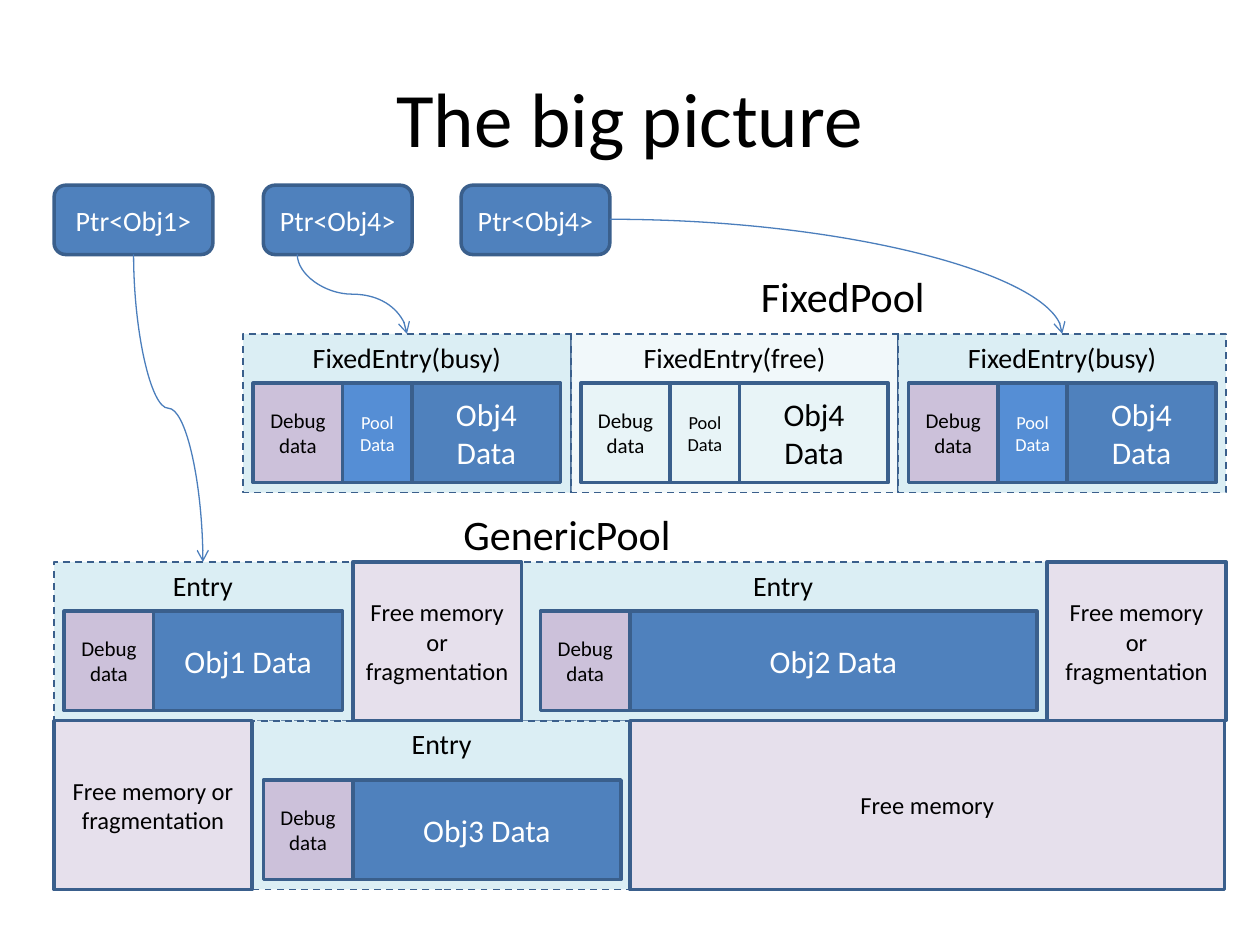
from lxml import etree
from pptx import Presentation
from pptx.dml.color import RGBColor
from pptx.enum import dml, shapes, text
from pptx.oxml.ns import qn
from pptx.util import Inches, Pt

THEME = {
    "font": "Calibri", "black": "000000", "white": "FFFFFF",
    "object": "4F81BD", "pool": "558ED5", "debug": "CCC1DA",
    "entry": "DBEEF4", "free": "E6E0EC", "outline": "3A5F8C", "arrow": "4B7EBC",
    "title_size": 44, "heading_size": 24, "data_size": 18, "label_size": 16,
    "free_size": 14, "debug_size": 12, "pool_size": 10.5,
}
TOP, MIDDLE = text.MSO_ANCHOR.TOP, text.MSO_ANCHOR.MIDDLE
RECT, ROUND = shapes.MSO_SHAPE.RECTANGLE, shapes.MSO_SHAPE.ROUNDED_RECTANGLE
DATA_HEIGHT, DEBUG_WIDTH, POOL_WIDTH = 0.79, 0.71, 0.55


def write(shape, words, size, color="black", anchor=MIDDLE, wrap=True,
          align=text.PP_ALIGN.CENTER):
    """Put one styled paragraph into a shape."""
    frame = shape.text_frame
    for name, value in {"word_wrap": wrap, "vertical_anchor": anchor}.items():
        setattr(frame, name, value)
    paragraph = frame.paragraphs[0]
    paragraph.alignment = align
    run = paragraph.add_run()
    run.text = words
    for name, value in {"name": THEME["font"], "size": Pt(THEME[size])}.items():
        setattr(run.font, name, value)
    run.font.color.rgb = RGBColor.from_string(THEME[color])


def block(parent, box, words, fill, size, color="black", kind=RECT,
          dashed=False, alpha=None):
    """Draw a labelled memory block; dashed blocks carry their label on top."""
    shape = parent.add_shape(kind, *map(Inches, box))
    shape.shadow.inherit = False
    shape.fill.solid()
    shape.fill.fore_color.rgb = RGBColor.from_string(THEME[fill])
    if alpha:
        tint = shape._element.spPr.find(qn("a:solidFill"))[0]
        etree.SubElement(tint, qn("a:alpha")).set("val", str(alpha * 1000))
    shape.line.color.rgb = RGBColor.from_string(THEME["outline"])
    shape.line.width = Pt(1 if dashed else 2)
    if dashed:
        shape.line.dash_style = dml.MSO_LINE.DASH
    write(shape, words, size, color, TOP if dashed else MIDDLE)


deck = Presentation()
deck.slide_width, deck.slide_height = Inches(10), Inches(7.5)
slide = deck.slides.add_slide(deck.slide_layouts[6])
canvas = slide.shapes

title = canvas.add_textbox(*map(Inches, (0.5, 0.3, 9, 1.25)))
write(title, "The big picture", "title_size")

for left, top, width, name in [(5.94, 2.1, 1.51, "FixedPool"),
                               (3.58, 3.99, 1.86, "GenericPool")]:
    heading = canvas.add_textbox(*map(Inches, (left, top, width, 0.5)))
    write(heading, name, "heading_size", anchor=TOP, wrap=False,
          align=text.PP_ALIGN.LEFT)

# Smart pointers
for left, width, name in [(0.43, 1.26, "Ptr<Obj1>"), (2.09, 1.18, "Ptr<Obj4>"),
                          (3.66, 1.18, "Ptr<Obj4>")]:
    block(canvas, (left, 1.47, width, 0.55), name, "object", "label_size",
          "white", ROUND)

# Generic pool: entries with a debug part and an object part
for left, top, width, data_left, data_top, data_width, name in [
    (0.43, 4.46, 2.36, 0.51, 4.85, 2.21, "Obj1 Data"),
    (4.13, 4.46, 4.17, 4.29, 4.85, 3.94, "Obj2 Data"),
    (2.01, 5.72, 2.99, 2.09, 6.19, 2.84, "Obj3 Data"),
]:
    height = 1.26 if top < 5 else 1.34
    block(canvas, (left, top, width, height), "Entry", "entry", "label_size",
          dashed=True)
    block(canvas, (data_left + DEBUG_WIDTH, data_top, data_width - DEBUG_WIDTH,
                   DATA_HEIGHT), name, "object", "data_size", "white")
    block(canvas, (data_left, data_top, DEBUG_WIDTH, DATA_HEIGHT), "Debug data",
          "debug", "debug_size")

# Generic pool: unused areas
FRAGMENT = "Free memory or fragmentation"
for box, words in [((2.8, 4.46, 1.34, 1.26), FRAGMENT),
                   ((0.43, 5.72, 1.57, 1.34), FRAGMENT),
                   ((5, 5.72, 4.72, 1.34), "Free memory"),
                   ((8.31, 4.46, 1.42, 1.26), FRAGMENT)]:
    block(canvas, box, words, "free", "free_size")

# Fixed pool: equal entries side by side
for index, state in enumerate(["busy", "free", "busy"]):
    left = 1.93 + 2.6 * index
    busy = state == "busy"
    alpha = None if busy else 38
    color = "white" if busy else "black"
    entry = canvas.add_group_shape().shapes
    block(entry, (left, 2.65, 2.6, 1.26), f"FixedEntry({state})", "entry",
          "label_size", dashed=True, alpha=alpha)
    part_left = left + 0.08
    for width, words, fill, size, ink in [
        (DEBUG_WIDTH, "Debug data", "debug", "debug_size", "black"),
        (POOL_WIDTH, "Pool Data", "pool", "pool_size", color),
        (1.18, "Obj4 Data", "object", "data_size", color),
    ]:
        block(entry, (part_left, 3.04, width, DATA_HEIGHT), words,
              fill if busy else "entry", size, ink, alpha=alpha)
        part_left += width

# Pointer arrows: the S-curves are horizontal connectors turned by 270 degrees
for start_x, start_y, end_x, end_y, turned in [
    (1.06, 2.02, 1.61, 4.46, True),
    (2.36, 2.02, 3.23, 2.65, True),
    (4.84, 1.74, 8.43, 2.65, False),
]:
    ends = (start_x, start_y, end_x, end_y)
    if turned:
        mid_x, mid_y = (start_x + end_x) / 2, (start_y + end_y) / 2
        half_w, half_h = (end_y - start_y) / 2, (end_x - start_x) / 2
        ends = (mid_x + half_w, mid_y - half_h, mid_x - half_w, mid_y + half_h)
    arrow = canvas.add_connector(shapes.MSO_CONNECTOR.CURVE, *map(Inches, ends))
    arrow.line.color.rgb = RGBColor.from_string(THEME["arrow"])
    arrow.line.width = Pt(0.75)
    properties = arrow._element.spPr
    if turned:
        properties.find(qn("a:xfrm")).set("rot", str(270 * 60000))
    else:
        properties.find(qn("a:prstGeom")).set("prst", "curvedConnector2")
    etree.SubElement(properties.find(qn("a:ln")), qn("a:tailEnd")).set("type", "arrow")
    etree.SubElement(properties, qn("a:effectLst"))

deck.save("out.pptx")
